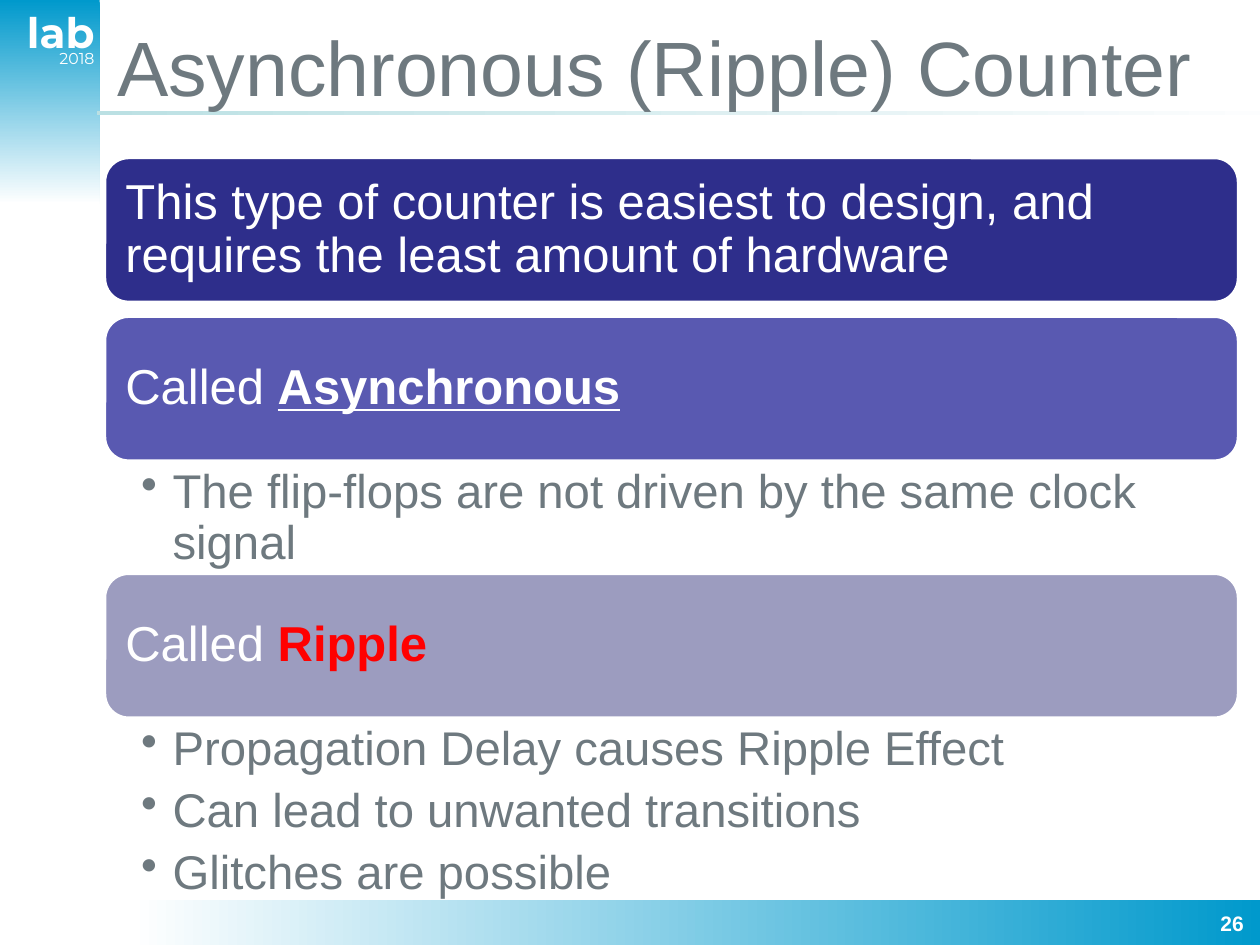
from lxml import etree
from pptx import Presentation
from pptx.dml.color import RGBColor
from pptx.enum.shapes import MSO_SHAPE
from pptx.enum.text import MSO_ANCHOR, MSO_AUTO_SIZE, PP_ALIGN
from pptx.oxml.ns import qn
from pptx.util import Inches, Pt

RECT, ROUND = MSO_SHAPE.RECTANGLE, MSO_SHAPE.ROUNDED_RECTANGLE
TOP, MID = MSO_ANCHOR.TOP, MSO_ANCHOR.MIDDLE
LEFT, RIGHT = PP_ALIGN.LEFT, PP_ALIGN.RIGHT

THEME = {
    "font": "Arial", "brand": "Montserrat",
    "white": "FFFFFF", "grey": "6E797F", "red": "FF0000",
    "blue": "0099CC", "pale": "BBE0E3", "mist": "FCFDFE",
    "title": 44, "card": 28, "list": 27, "logo": 24, "page": 12, "year": 9,
}


def frame(shape, pad, anchor=TOP):
    """Set the wrap, insets and anchor of a text frame."""
    text = shape.text_frame
    text.word_wrap = True
    text.auto_size = MSO_AUTO_SIZE.NONE
    text.vertical_anchor = anchor
    (text.margin_left, text.margin_top,
     text.margin_right, text.margin_bottom) = [Inches(p) for p in pad]
    return text


def write(para, text, size, color, font="font", bold=False, line=False):
    """Add one run to a paragraph."""
    run = para.add_run()
    run.text = text
    run.font.name = THEME[font]
    run.font.size = Pt(THEME[size])
    run.font.color.rgb = RGBColor.from_string(THEME[color])
    run.font.bold = bold
    run.font.underline = line


deck = Presentation()
deck.slide_width, deck.slide_height = Inches(10), Inches(7.5)
slide = deck.slides.add_slide(deck.slide_layouts[5])
shapes = slide.shapes

# Gradient bands: corner, title rule, footer
bands = [
    ((0, 0, 0.79, 1.62), "blue", "white", 270),
    ((0.77, 0.88, 9.23, 0.03), "pale", "mist", 0),
    ((1.04, 7.14, 8.96, 0.36), "white", "blue", 0),
]
for box, start, end, angle in bands:
    band = shapes.add_shape(RECT, *[Inches(v) for v in box])
    band.shadow.inherit = False
    band.line.fill.background()
    band.fill.gradient()
    band.fill.gradient_angle = angle
    for stop, name in zip(band.fill.gradient_stops, (start, end)):
        stop.color.rgb = RGBColor.from_string(THEME[name])

# Corner label and page number
labels = [
    ("2018", (0.24, 0.39, 0.51, 0.15), (0, 0, 0, 0), "year", "brand", False),
    ("lab", (0.06, 0.05, 0.69, 0.32), (0, 0, 0, 0), "logo", "brand", True),
    ("26", (9.49, 7.18, 0.48, 0.32), (0.1, 0.05, 0.1, 0.05),
     "page", "font", True),
]
for text, box, pad, size, font, bold in labels:
    label = shapes.add_textbox(*[Inches(v) for v in box])
    para = frame(label, pad).paragraphs[0]
    para.alignment = RIGHT
    write(para, text, size, "white", font, bold)

# Title, brought in front of the bands
title = shapes.title
title.left, title.top = Inches(0.83), Inches(0.05)
title.width, title.height = Inches(9), Inches(0.94)
title.element.getparent().append(title.element)
para = frame(title, (0.1, 0.05, 0.1, 0.05), MID).paragraphs[0]
para.alignment = LEFT
write(para, "Asynchronous (Ripple) Counter", "title", "grey")

# Cards: top, fill, lead text, key word, key colour, underline, bullets
X, WIDTH, HIGH, INSET = 0.83, 9, 1.15, 0.05
cards = [
    (1.25, "2E2E8B", "This type of counter is easiest to design, and "
     "requires the least amount of hardware", "", "white", False, []),
    (2.51, "5959B1", "Called ", "Asynchronous", "white", True,
     ["The flip-flops are not driven by the same clock signal"]),
    (4.55, "9C9CBF", "Called ", "Ripple", "red", False,
     ["Propagation Delay causes Ripple Effect",
      "Can lead to unwanted transitions",
      "Glitches are possible"]),
]
for top, fill, lead, key, color, line, items in cards:
    card = shapes.add_shape(ROUND, Inches(X), Inches(top),
                            Inches(WIDTH), Inches(HIGH))
    card.shadow.inherit = False
    card.fill.solid()
    card.fill.fore_color.rgb = RGBColor.from_string(fill)
    card.line.color.rgb = RGBColor.from_string(THEME["white"])
    card.line.width = Pt(2)
    side = 0.12 + INSET
    para = frame(card, (side - 0.06, side, side - 0.06, side),
                 MID).paragraphs[0]
    para.alignment = LEFT
    para.line_spacing = 0.9
    write(para, lead, "card", "white")
    if key:
        write(para, key, "card", color, bold=True, line=line)
    if not items:
        continue

    # Bullets under the card
    high = 0.89 if len(items) == 1 else 1.46
    note = shapes.add_textbox(Inches(X), Inches(top + HIGH),
                              Inches(WIDTH), Inches(high))
    text = frame(note, (0.29, 0.05, 0.26, 0.05))
    for i, item in enumerate(items):
        para = text.add_paragraph() if i else text.paragraphs[0]
        para.level = 1
        para.line_spacing = 0.9
        para.space_after = Pt(6.2)
        props = para._p.get_or_add_pPr()
        props.set("marL", str(Inches(0.25)))
        props.set("indent", str(Inches(-0.25)))
        etree.SubElement(props, qn("a:buChar")).set("char", "•")
        write(para, item, "list", "grey")

deck.save("out.pptx")
